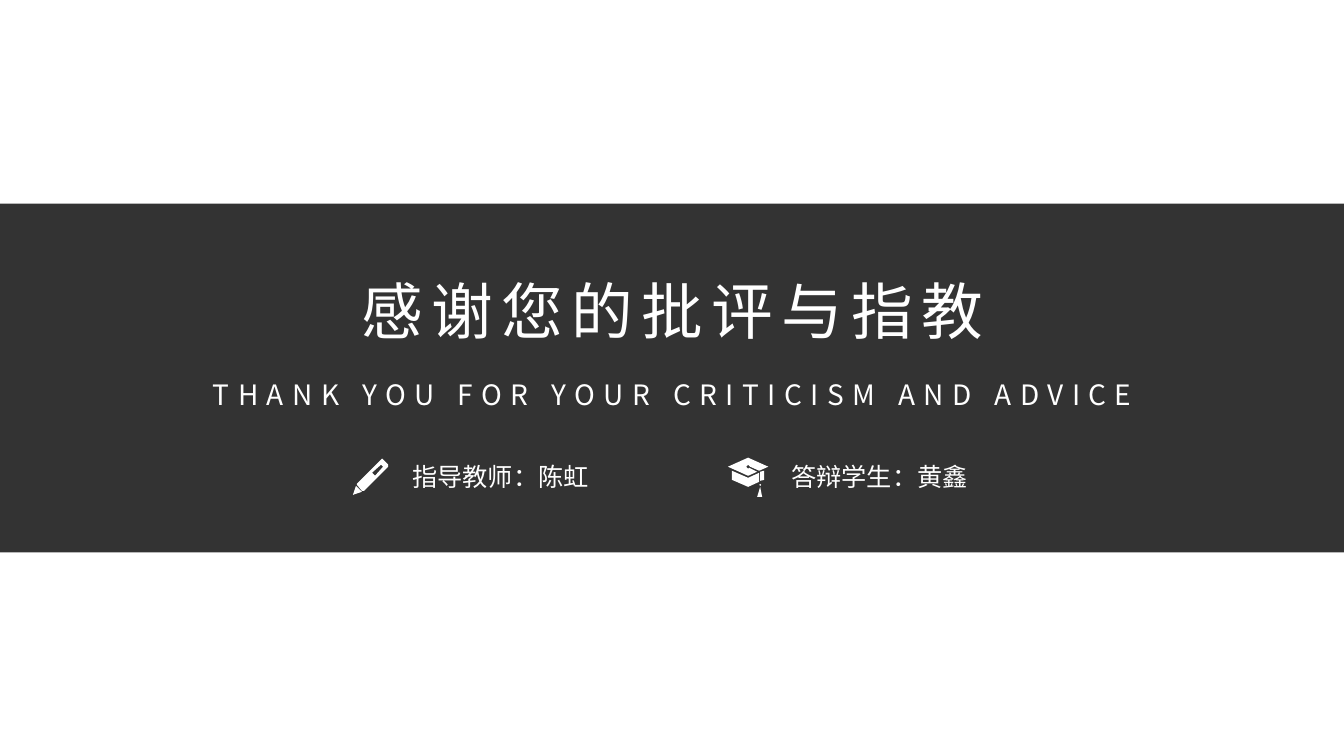
from dataclasses import dataclass

from lxml import etree
from pptx import Presentation, util as u
from pptx.dml.color import RGBColor
from pptx.enum import shapes, text
from pptx.oxml.ns import qn

COLORS = {"band": "000000", "light": "FFFFFF"}
FONT = "Noto Sans CJK SC"
Contour = list[tuple[int, int]]


@dataclass
class Credit:
    label: str
    left: float
    icon_left: float
    icon_top: float
    icon: list[Contour]


# Icon contours are in hundredths of an inch from the icon's top left corner.
PEN: list[Contour] = [
    [(3, 27), (9, 33), (0, 36)],
    [(28, 6), (19, 14), (22, 17), (30, 8)],
    [(29, 0), (35, 6), (35, 8), (11, 32), (9, 32), (4, 26), (4, 25), (28, 1)],
]
CAP: list[Contour] = [
    [(32, 29), (34, 39), (29, 39)],
    [(32, 26), (33, 27), (32, 28), (31, 27)],
    [(36, 13), (36, 22), (32, 23), (32, 14)],
    [(4, 13), (20, 20), (31, 15), (31, 24), (20, 29), (4, 22)],
    [(20, 0), (40, 9), (31, 13), (22, 9), (20, 7), (18, 9), (20, 11),
     (21, 10), (29, 14), (20, 18), (0, 9)],
]
CREDITS = [
    Credit("指导教师：陈虹", 3.99, 3.5, 4.55, PEN),
    Credit("答辩学生：黄鑫", 7.75, 7.22, 4.54, CAP),
]


def paint(shape, color: str) -> None:
    shape.shadow.inherit = False
    shape.fill.solid()
    shape.fill.fore_color.rgb = RGBColor.from_string(COLORS[color])
    shape.line.fill.background()


def add_text(slide, words: str, *, left: float, top: float, width: float,
             height: float, size: int, spacing: int = 0,
             align=text.PP_ALIGN.LEFT) -> None:
    """Add one line of light text; spacing is the letter spacing in points."""
    box = slide.shapes.add_textbox(*map(u.Inches, (left, top, width, height)))
    frame = box.text_frame
    frame.word_wrap = True
    frame.auto_size = text.MSO_AUTO_SIZE.SHAPE_TO_FIT_TEXT
    paragraph = frame.paragraphs[0]
    paragraph.alignment = align
    run = paragraph.add_run()
    run.text = words
    run.font.size = u.Pt(size)
    run.font.color.rgb = RGBColor.from_string(COLORS["light"])
    run.font.name = FONT
    properties = run.font._element
    etree.SubElement(properties, qn("a:ea"), typeface=FONT)
    if spacing:
        properties.set("spc", str(spacing * 100))


def add_band(slide, width: int) -> None:
    band = slide.shapes.add_shape(shapes.MSO_SHAPE.RECTANGLE, 0,
                                  u.Inches(2.02), width, u.Inches(3.46))
    paint(band, "band")
    color = band.fill._xPr.find(".//" + qn("a:srgbClr"))
    etree.SubElement(color, qn("a:alpha"), val="80000")


def add_icon(slide, credit: Credit) -> None:
    first, *others = credit.icon
    outline = slide.shapes.build_freeform(*first[0], scale=u.Inches(0.01))
    outline.add_line_segments(first[1:], close=True)
    for contour in others:
        outline.move_to(*contour[0])
        outline.add_line_segments(contour[1:], close=True)
    icon = outline.convert_to_shape(u.Inches(credit.icon_left),
                                    u.Inches(credit.icon_top))
    paint(icon, "light")


def main() -> None:
    deck = Presentation()
    deck.slide_width, deck.slide_height = u.Inches(13.33), u.Inches(7.5)
    slide = deck.slides.add_slide(deck.slide_layouts[6])
    add_band(slide, deck.slide_width)
    add_text(slide, "感谢您的批评与指教", left=1.23, top=2.66, width=10.88,
             height=0.84, size=44, spacing=6, align=text.PP_ALIGN.CENTER)
    add_text(slide, "THANK YOU FOR YOUR CRITICISM AND ADVICE", left=0.63,
             top=3.7, width=12.08, height=0.44, size=20, spacing=6,
             align=text.PP_ALIGN.CENTER)
    for credit in CREDITS:
        add_icon(slide, credit)
        add_text(slide, credit.label, left=credit.left, top=4.53, width=2.76,
                 height=0.4, size=18)
    deck.save("out.pptx")


if __name__ == "__main__":
    main()
